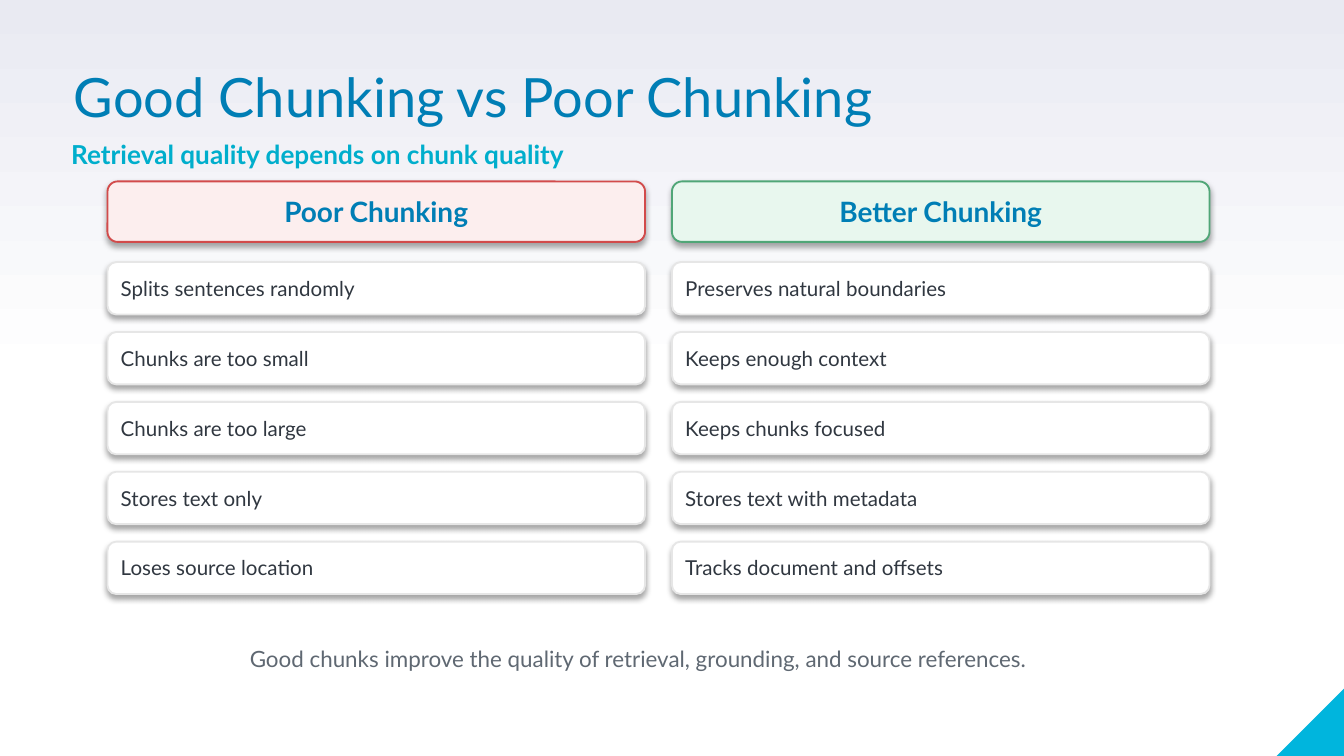
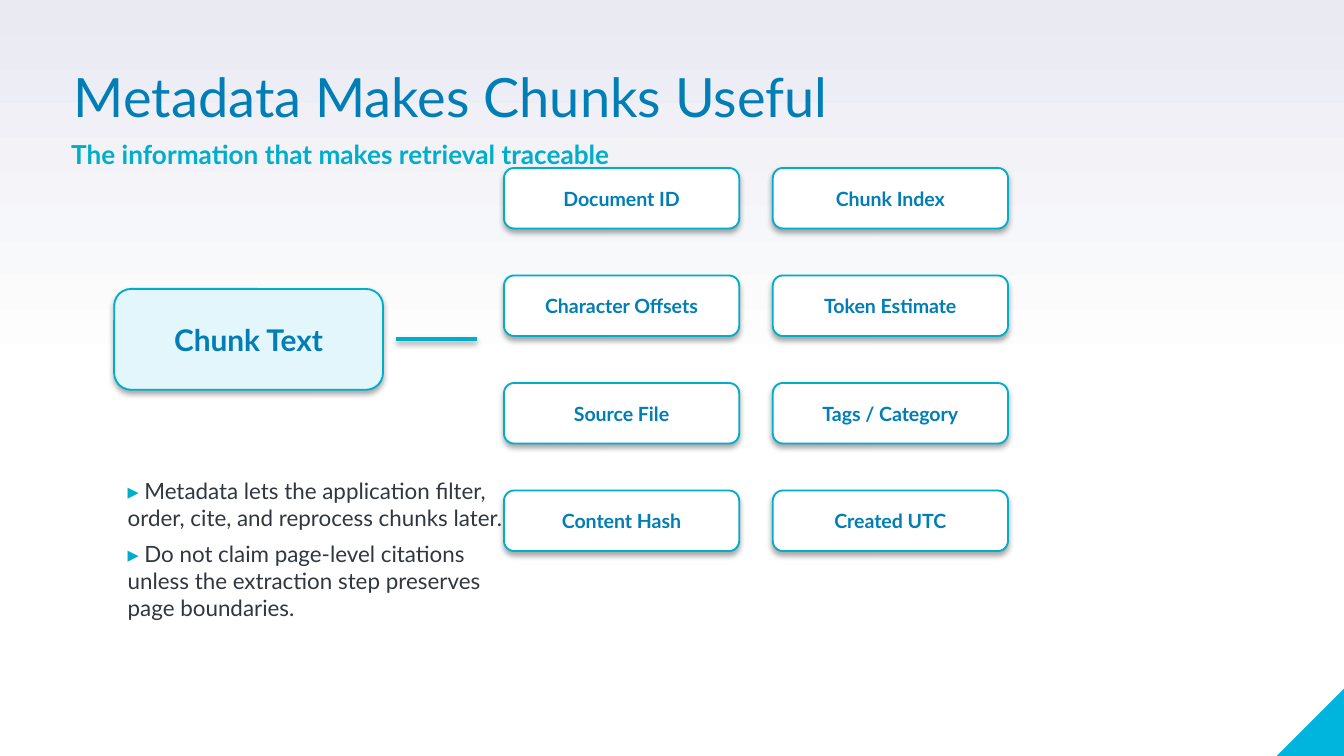
from pptx import Presentation
from pptx.dml.color import RGBColor
from pptx.enum.shapes import MSO_CONNECTOR, MSO_SHAPE
from pptx.enum.text import MSO_ANCHOR, MSO_AUTO_SIZE, PP_ALIGN
from pptx.util import Inches, Pt

FONT = "Lato"
BLUE = RGBColor(0x00, 0x7E, 0xB5)
TEAL = RGBColor(0x00, 0xAE, 0xCC)
CYAN = RGBColor(0x00, 0xB5, 0xDD)
ICE = RGBColor(0xE2, 0xF6, 0xFB)
WHITE = RGBColor(0xFF, 0xFF, 0xFF)
MIST = RGBColor(0xE9, 0xEA, 0xF2)
INK = RGBColor(0x30, 0x37, 0x40)
GRAY = RGBColor(0x5F, 0x68, 0x72)
RULE = RGBColor(0xE6, 0xE6, 0xE6)
RED = RGBColor(0xD2, 0x4B, 0x4B)
ROSE = RGBColor(0xFC, 0xEE, 0xEE)
GREEN = RGBColor(0x50, 0xA6, 0x77)
MINT = RGBColor(0xE8, 0xF7, 0xEE)

TITLE_AND_BODY = 1
TITLE_ONLY = 5

POOR = ["Splits sentences randomly", "Chunks are too small", "Chunks are too large",
        "Stores text only", "Loses source location"]
BETTER = ["Preserves natural boundaries", "Keeps enough context", "Keeps chunks focused",
          "Stores text with metadata", "Tracks document and offsets"]
FIELDS = ["Document ID", "Chunk Index", "Character Offsets", "Token Estimate",
          "Source File", "Tags / Category", "Content Hash", "Created UTC"]
NOTES = ["Metadata lets the application filter, order, cite, and reprocess chunks later.",
         "Do not claim page-level citations unless the extraction step preserves page boundaries."]


def style(run, size, color, bold=False):
    """Format one run."""
    font = run.font
    font.name, font.size, font.bold = FONT, Pt(size), bold
    font.color.rgb = color


def place(shape, left, top, width, height):
    """Move and size a shape, in inches."""
    shape.left, shape.top = Inches(left), Inches(top)
    shape.width, shape.height = Inches(width), Inches(height)


def inset(frame, left, top, right, bottom):
    """Set the margins of a text frame, in inches."""
    frame.margin_left, frame.margin_top = Inches(left), Inches(top)
    frame.margin_right, frame.margin_bottom = Inches(right), Inches(bottom)


def write(frame, text, size, color, bold=False, align=PP_ALIGN.LEFT):
    """Fill a frame with a single formatted paragraph."""
    frame.text = text
    para = frame.paragraphs[0]
    para.alignment = align
    style(para.runs[0], size, color, bold)


def fit(frame, wrap=False):
    """Let a top-anchored frame grow with its text."""
    frame.word_wrap = wrap
    frame.auto_size = MSO_AUTO_SIZE.SHAPE_TO_FIT_TEXT
    frame.vertical_anchor = MSO_ANCHOR.TOP


def label(slide, text, box, size, color, bold=False, align=PP_ALIGN.LEFT):
    """Add a one-line text box and return its frame."""
    frame = slide.shapes.add_textbox(*map(Inches, box)).text_frame
    fit(frame)
    write(frame, text, size, color, bold, align)
    return frame


def card(slide, text, box, fill, line, size, color=BLUE, bold=True, align=PP_ALIGN.CENTER):
    """Add a rounded card that keeps the soft shadow of the theme."""
    shape = slide.shapes.add_shape(MSO_SHAPE.ROUNDED_RECTANGLE, *map(Inches, box))
    shape.fill.solid()
    shape.fill.fore_color.rgb = fill
    shape.line.color.rgb = line
    shape.line.width = Pt(1)
    frame = shape.text_frame
    frame.word_wrap = True
    frame.vertical_anchor = MSO_ANCHOR.MIDDLE
    inset(frame, 0.08, 0.05, 0.08, 0.05)
    write(frame, text, size, color, bold, align)
    return shape


def brand(deck, slide):
    """Give the master its gradient and its corner triangle."""
    master = deck.slide_master
    fill = master.background.fill
    fill.gradient()
    fill.gradient_angle = 90
    for stop, spot, color in zip(fill.gradient_stops, (0.5, 1), (WHITE, MIST)):
        stop.position = spot
        stop.color.rgb = color
    corner = slide.shapes.add_shape(MSO_SHAPE.RIGHT_TRIANGLE, 0, 0, 0, 0)
    place(corner, 9.5, 5.11, 0.51, 0.51)
    corner.top = deck.slide_height - corner.height
    corner.element.spPr.xfrm.set("flipH", "1")
    corner.shadow.inherit = False
    corner.fill.solid()
    corner.fill.fore_color.rgb = CYAN
    corner.line.fill.background()
    master.shapes.element.append(corner.element)


def start(deck, layout, title, lead):
    """Add a slide with its title and lead line."""
    slide = deck.slides.add_slide(deck.slide_layouts[layout])
    head = slide.shapes.title
    place(head, 0.45, 0.42, 7.4, 0.5)
    fit(head.text_frame)
    write(head.text_frame, title, 29, BLUE)
    frame = label(slide, lead, (0.53, 0.98, 8, 0.35), 14, TEAL, True)
    inset(frame, 0, 0.05, 0.1, 0.05)
    return slide


def column(slide, left, head, fill, line, items):
    """Stack a coloured header and its rows."""
    card(slide, head, (left, 1.35, 4, 0.45), fill, line, 15)
    for row, item in enumerate(items):
        box = (left, 1.95 + 0.52 * row, 4, 0.39)
        card(slide, item, box, WHITE, RULE, 11, INK, False, PP_ALIGN.LEFT)


def bullets(body, items):
    """Fill the body placeholder with arrow-marked notes."""
    place(body, 0.95, 3.5, 2.8, 1)
    frame = body.text_frame
    fit(frame, True)
    inset(frame, 0, 0.05, 0, 0.05)
    frame.text = "\n".join(items)
    for para, item in zip(frame.paragraphs, items):
        props = para._p.get_or_add_pPr()
        props.set("marL", "0")
        props.set("indent", "0")
        props.insert(0, props.makeelement(
            "{http://schemas.openxmlformats.org/drawingml/2006/main}buNone", {}))
        para.space_before, para.space_after = Pt(0), Pt(5)
        mark = para.runs[0]
        mark.text = "▸ "
        style(mark, 12, TEAL, True)
        note = para.add_run()
        note.text = item
        style(note, 12, INK)


def compare(deck):
    """Build the poor and better chunking slide."""
    slide = start(deck, TITLE_ONLY, "Good Chunking vs Poor Chunking",
                  "Retrieval quality depends on chunk quality")
    column(slide, 0.8, "Poor Chunking", ROSE, RED, POOR)
    column(slide, 5, "Better Chunking", MINT, GREEN, BETTER)
    label(slide, "Good chunks improve the quality of retrieval, grounding, and source references.",
          (1.2, 4.75, 7.1, 0.25), 12, GRAY, align=PP_ALIGN.CENTER)
    return slide


def detail(deck):
    """Build the metadata slide."""
    slide = start(deck, TITLE_AND_BODY, "Metadata Makes Chunks Useful",
                  "The information that makes retrieval traceable")
    chunk = card(slide, "Chunk Text", (0.85, 2.15, 2, 0.75), ICE, TEAL, 16)
    level = chunk.top + chunk.height // 2
    link = slide.shapes.add_connector(
        MSO_CONNECTOR.STRAIGHT, Inches(2.95), level, Inches(3.55), level)
    link.line.color.rgb = TEAL
    link.line.width = Pt(2)
    for index, field in enumerate(FIELDS):
        row, col = divmod(index, 2)
        box = (3.75 + 2 * col, 1.25 + 0.8 * row, 1.75, 0.45)
        card(slide, field, box, WHITE, TEAL, 10.5)
    bullets(slide.placeholders[1], NOTES)


def main():
    """Build and save the deck."""
    deck = Presentation()
    deck.slide_width = Inches(10)
    deck.slide_height = deck.slide_width * 9 // 16
    brand(deck, compare(deck))
    detail(deck)
    deck.save("out.pptx")


if __name__ == "__main__":
    main()
